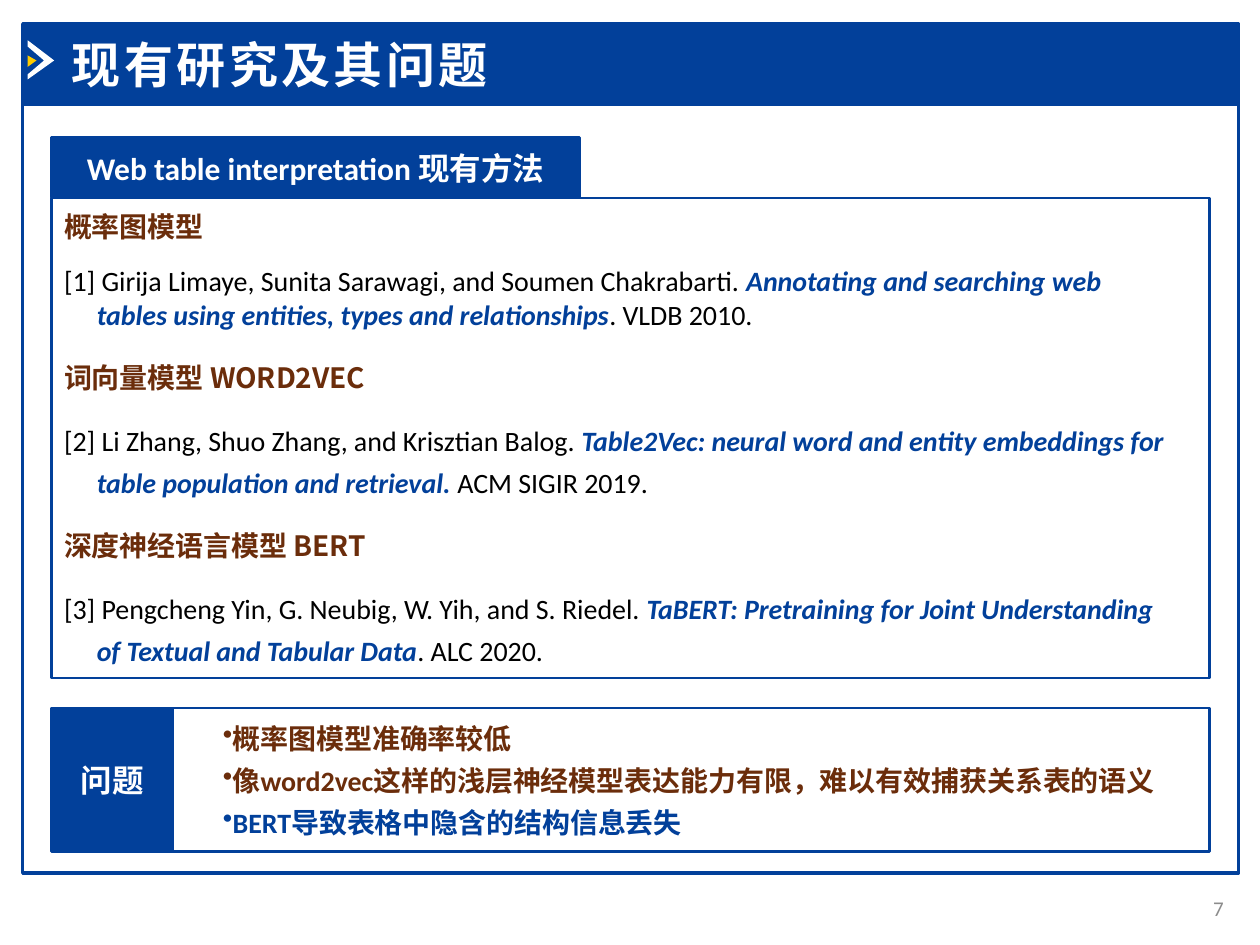
"""Build the slide on existing web table interpretation research and its problems."""
from dataclasses import dataclass
from typing import Optional

from lxml import etree
from pptx import Presentation
from pptx import util as u
from pptx.dml.color import RGBColor
from pptx.enum import shapes, text
from pptx.oxml.ns import qn

COLORS = {
    "blue": "02409A",
    "brown": "6B2D0B",
    "white": "FFFFFF",
    "black": "000000",
    "yellow": "FFCC00",
    "gray": "8C8C8C",
}
LATIN, CJK = "Calibri", "Noto Sans CJK SC"
ALIGN, ANCHOR = text.PP_ALIGN, text.MSO_ANCHOR


@dataclass
class Box:
    left: float
    top: float
    width: float
    height: float

    def emu(self) -> list:
        return [u.Inches(v) for v in (self.left, self.top, self.width, self.height)]


@dataclass
class Run:
    words: str
    color: str
    size: float = 16
    bold: bool = True
    italic: bool = False
    font: str = LATIN
    spacing: int = 0


@dataclass
class Method:
    heading: str
    authors: str
    work: str
    venue: str
    line_spacing: Optional[float] = 1.25


FRAME = Box(0.18, 0.83, 9.65, 6.1)
TITLE_BAR = Box(0.18, 0.19, 9.65, 0.64)
METHODS_FRAME = Box(0.41, 1.57, 9.19, 3.81)
METHODS_TAB = Box(0.41, 1.09, 4.19, 0.48)
PROBLEMS_TAB = Box(0.41, 5.62, 0.96, 1.14)
PROBLEMS_FRAME = Box(1.37, 5.62, 8.23, 1.14)

CHEVRON = [(0.22, 0.32), (0.43, 0.48), (0.22, 0.63), (0.22, 0.59), (0.35, 0.48), (0.22, 0.37)]
ARROW_TIP = [(0.22, 0.44), (0.29, 0.48), (0.22, 0.53)]

METHODS = [
    Method("概率图模型",
           "[1] Girija Limaye, Sunita Sarawagi, and Soumen Chakrabarti. ",
           "Annotating and searching web tables using entities, types and relationships",
           ". VLDB 2010.", None),
    Method("词向量模型 WORD2VEC",
           "[2] Li Zhang, Shuo Zhang, and Krisztian Balog. ",
           "Table2Vec: neural word and entity embeddings for table population and retrieval. ",
           "ACM SIGIR 2019."),
    Method("深度神经语言模型 BERT",
           "[3] Pengcheng Yin, G. Neubig, W. Yih, and S. Riedel. ",
           "TaBERT: Pretraining for Joint Understanding of Textual and Tabular Data",
           ". ALC 2020."),
]
PROBLEMS = [
    Run("概率图模型准确率较低", "brown"),
    Run("像word2vec这样的浅层神经模型表达能力有限，难以有效捕获关系表的语义", "brown"),
    Run("BERT导致表格中隐含的结构信息丢失", "blue"),
]


def rgb(name: str) -> RGBColor:
    return RGBColor.from_string(COLORS[name])


def add_run(paragraph, item: Run) -> None:
    run = paragraph.add_run()
    run.text = item.words
    font = run.font
    font.name, font.size = item.font, u.Pt(item.size)
    font.bold, font.italic = item.bold, item.italic
    font.color.rgb = rgb(item.color)
    properties = font._element
    etree.SubElement(properties, qn("a:ea")).set("typeface", CJK)
    if item.spacing:
        properties.set("spc", str(item.spacing * 100))


def set_indent(paragraph, margin: float, first: float, bullet: str = "") -> None:
    properties = paragraph._p.get_or_add_pPr()
    properties.set("marL", str(u.Inches(margin)))
    properties.set("indent", str(u.Inches(first)))
    if bullet:
        etree.SubElement(properties, qn("a:buChar")).set("char", bullet)


def next_paragraph(frame, index: int):
    return frame.add_paragraph() if index else frame.paragraphs[0]


def add_panel(slide, box: Box, fill: bool = False, width: float = 1.5, label: str = "") -> None:
    shape = slide.shapes.add_shape(shapes.MSO_SHAPE.RECTANGLE, *box.emu())
    shape.shadow.inherit = False
    shape.line.color.rgb = rgb("blue")
    shape.line.width = u.Pt(width)
    if fill:
        shape.fill.solid()
        shape.fill.fore_color.rgb = rgb("blue")
    else:
        shape.fill.background()
    if label:
        shape.text_frame.vertical_anchor = ANCHOR.MIDDLE
        paragraph = shape.text_frame.paragraphs[0]
        paragraph.alignment = ALIGN.CENTER
        add_run(paragraph, Run(label, "white", 18))


def add_outline(slide, points: list, color: str) -> None:
    scaled = [(u.Inches(x), u.Inches(y)) for x, y in points]
    builder = slide.shapes.build_freeform(*scaled[0])
    builder.add_line_segments(scaled[1:], close=True)
    shape = builder.convert_to_shape()
    shape.shadow.inherit = False
    shape.fill.solid()
    shape.fill.fore_color.rgb = rgb(color)
    shape.line.fill.background()


def add_text_frame(slide, box: Box):
    frame = slide.shapes.add_textbox(*box.emu()).text_frame
    frame.word_wrap = True
    return frame


def add_title(slide, words: str) -> None:
    title = slide.shapes.title
    title.left, title.top, title.width, title.height = Box(0.47, 0.22, 3.56, 0.57).emu()
    frame = title.text_frame
    frame.word_wrap = False
    frame.auto_size = text.MSO_AUTO_SIZE.SHAPE_TO_FIT_TEXT
    frame.vertical_anchor = ANCHOR.TOP
    paragraph = frame.paragraphs[0]
    paragraph.alignment = ALIGN.LEFT
    add_run(paragraph, Run(words, "white", 28, spacing=2))
    slide.shapes.element.append(title.element)


def add_methods(slide) -> None:
    frame = add_text_frame(slide, Box(0.41, 1.61, 8.98, 3.78))
    lines = []
    for method in METHODS:
        heading = [Run(method.heading, "brown", font=CJK)]
        citation = [Run(method.authors, "black", bold=False),
                    Run(method.work, "blue", italic=True),
                    Run(method.venue, "black", bold=False)]
        lines += [(heading, method.line_spacing), (citation, method.line_spacing)]
    for index, (runs, line_spacing) in enumerate(lines):
        paragraph = next_paragraph(frame, index)
        set_indent(paragraph, 0.26, -0.26)
        paragraph.line_spacing = line_spacing
        paragraph.space_before = u.Pt(6 if index else 0)
        paragraph.space_after = u.Pt(6)
        for run in runs:
            add_run(paragraph, run)


def add_problems(slide) -> None:
    frame = add_text_frame(slide, Box(1.47, 5.61, 8.23, 1.15))
    for index, problem in enumerate(PROBLEMS):
        paragraph = next_paragraph(frame, index)
        set_indent(paragraph, 0, 0.2, "•")
        paragraph.line_spacing = 1.25
        add_run(paragraph, problem)


def add_page_number(slide, number: str) -> None:
    frame = add_text_frame(slide, Box(9.22, 7.01, 0.59, 0.4))
    frame.vertical_anchor = ANCHOR.MIDDLE
    frame.paragraphs[0].alignment = ALIGN.RIGHT
    add_run(frame.paragraphs[0], Run(number, "gray", 12, bold=False))


def main() -> None:
    presentation = Presentation()
    presentation.slide_width, presentation.slide_height = u.Inches(10), u.Inches(7.5)
    slide = presentation.slides.add_slide(presentation.slide_layouts[5])
    add_panel(slide, FRAME, width=2)
    add_panel(slide, TITLE_BAR, fill=True, width=2)
    add_outline(slide, CHEVRON, "white")
    add_outline(slide, ARROW_TIP, "yellow")
    add_page_number(slide, "7")
    add_title(slide, "现有研究及其问题")
    add_panel(slide, METHODS_FRAME)
    add_panel(slide, METHODS_TAB, fill=True, label="Web table interpretation 现有方法")
    add_methods(slide)
    add_panel(slide, PROBLEMS_TAB, fill=True, label="问题")
    add_panel(slide, PROBLEMS_FRAME)
    add_problems(slide)
    presentation.save("out.pptx")


if __name__ == "__main__":
    main()
